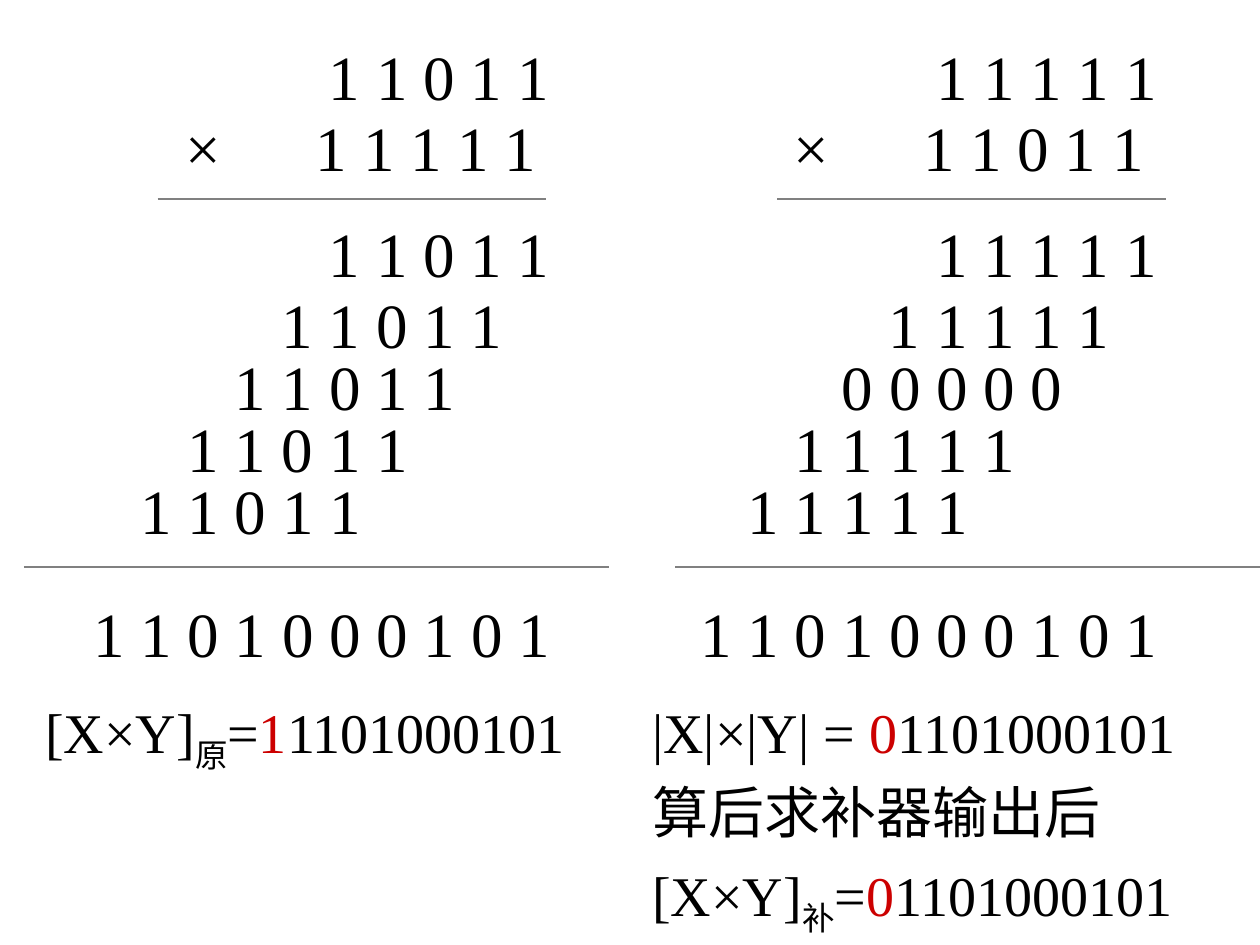
"""Builds a slide that works two binary multiplications side by side."""
from dataclasses import dataclass

from lxml.etree import SubElement
from pptx import Presentation
from pptx.dml.color import RGBColor
from pptx.enum.shapes import MSO_CONNECTOR
from pptx.enum.text import MSO_AUTO_SIZE
from pptx.oxml.ns import qn
from pptx.slide import Slide
from pptx.text.text import TextFrame, _Paragraph
from pptx.util import Cm, Pt

FONT = "Times New Roman"
BLACK, RED, GREY = "000000", "CC0000", "808080"
DIGITS_LEFT, DIGIT_STEP = 5.72, 0.95
TIMES_LEFT, MULTIPLIER_LEFT = 2.84, 5.46
TIGHT = 0.3
PRODUCT = "1101000101"


@dataclass(frozen=True)
class Piece:
    """A stretch of formula text with its colour and baseline shift."""
    text: str
    color: str = BLACK
    baseline: int = 0


@dataclass(frozen=True)
class Formula:
    """One line of result text."""
    pieces: tuple[Piece, ...]
    space_before: float = 0
    line_spacing: float = 1.2


@dataclass(frozen=True)
class Rule:
    """A horizontal line."""
    left: float
    right: float
    top: float


@dataclass(frozen=True)
class Multiplication:
    """A long multiplication with its place on the slide."""
    left: float
    width: float
    height: float
    multiplicand: str
    multiplier: str
    formulas: tuple[Formula, ...]
    rules: tuple[Rule, ...]


def rgb(color: str) -> RGBColor:
    """Turn a hex string into a colour."""
    return RGBColor.from_string(color)


def spaced(digits: str) -> str:
    """Put one space between digits."""
    return " ".join(digits)


def add_run(paragraph: _Paragraph, text: str, *, size: float = 36,
            color: str = BLACK, baseline: int = 0) -> None:
    """Add formatted text to a paragraph."""
    run = paragraph.add_run()
    run.text = text
    run.font.name = FONT
    run.font.size = Pt(size)
    run.font.color.rgb = rgb(color)
    if baseline:
        run.font._element.set("baseline", str(baseline * 1000))


def add_paragraph(frame: TextFrame, *, space_before: float = 22.5,
                  line_spacing: float = 1.0, stops: tuple[float, ...] = ()) -> _Paragraph:
    """Start a paragraph, using the frame's first one while it is empty."""
    first = frame.paragraphs[0]
    paragraph = frame.add_paragraph() if first.runs else first
    paragraph.space_before = Pt(space_before)
    paragraph.line_spacing = line_spacing
    if stops:
        tab_list = SubElement(paragraph._p.get_or_add_pPr(), qn("a:tabLst"))
        for stop in stops:
            SubElement(tab_list, qn("a:tab"), pos=str(Cm(stop)), algn="l")
    return paragraph


def add_digits(frame: TextFrame, digits: str, shift: int = 0, *,
               space_before: float = 22.5, line_spacing: float = TIGHT) -> None:
    """Add a row of digits moved left by a number of places."""
    paragraph = add_paragraph(frame, space_before=space_before, line_spacing=line_spacing,
                              stops=(DIGITS_LEFT - shift * DIGIT_STEP,))
    add_run(paragraph, "\t" + spaced(digits))


def add_rule(slide: Slide, rule: Rule) -> None:
    """Draw a thin grey line without shadow."""
    line = slide.shapes.add_connector(MSO_CONNECTOR.STRAIGHT, Cm(rule.left), Cm(rule.top),
                                      Cm(rule.right), Cm(rule.top))
    line.line.color.rgb = rgb(GREY)
    line.line.width = Pt(0.75)
    SubElement(line._element.spPr, qn("a:effectLst"))


def add_multiplication(slide: Slide, work: Multiplication) -> None:
    """Write out a multiplication, its partial products and its results."""
    shape = slide.shapes.add_textbox(Cm(work.left), Cm(0.64), Cm(work.width), Cm(work.height))
    frame = shape.text_frame
    frame.word_wrap = True
    frame.auto_size = MSO_AUTO_SIZE.SHAPE_TO_FIT_TEXT
    add_digits(frame, work.multiplicand, line_spacing=1.0)
    multiplier = add_paragraph(frame, line_spacing=TIGHT, stops=(TIMES_LEFT, MULTIPLIER_LEFT))
    add_run(multiplier, "\t×\t" + spaced(work.multiplier))
    for shift, bit in enumerate(reversed(work.multiplier)):
        partial = work.multiplicand if bit == "1" else "0" * len(work.multiplicand)
        add_digits(frame, partial, shift, line_spacing=TIGHT if shift else 1.0)
    add_digits(frame, PRODUCT, len(work.multiplier), space_before=57.5)
    for formula in work.formulas:
        paragraph = add_paragraph(frame, space_before=formula.space_before,
                                  line_spacing=formula.line_spacing)
        for piece in formula.pieces:
            add_run(paragraph, piece.text, size=32, color=piece.color, baseline=piece.baseline)
    for rule in work.rules:
        add_rule(slide, rule)


def coded_product(code: str, sign: str) -> tuple[Piece, ...]:
    """Give the signed product in the named code."""
    return (Piece("[X×Y]"), Piece(code, baseline=-25), Piece("="),
            Piece(sign, RED), Piece(PRODUCT))


MULTIPLICATIONS = (
    Multiplication(0.66, 11.61, 15.11, "11011", "11111",
                   (Formula(coded_product("原", "1"), 20, 1.0),),
                   (Rule(3.18, 11, 4.01), Rule(0.48, 12.27, 11.43))),
    Multiplication(12.9, 13.51, 18.39, "11111", "11011",
                   (Formula((Piece("|X|×|Y| = "), Piece("0", RED), Piece(PRODUCT)), 20, 1.0),
                    Formula((Piece("算后求补器输出后"),)),
                    Formula(coded_product("补", "0"))),
                   (Rule(15.67, 23.5, 4.01), Rule(13.61, 25.4, 11.43))),
)


def main() -> None:
    """Build and save the slide."""
    presentation = Presentation()
    presentation.slide_width, presentation.slide_height = Cm(25.4), Cm(19.05)
    slide = presentation.slides.add_slide(presentation.slide_layouts[6])
    for work in MULTIPLICATIONS:
        add_multiplication(slide, work)
    presentation.save("out.pptx")


if __name__ == "__main__":
    main()
